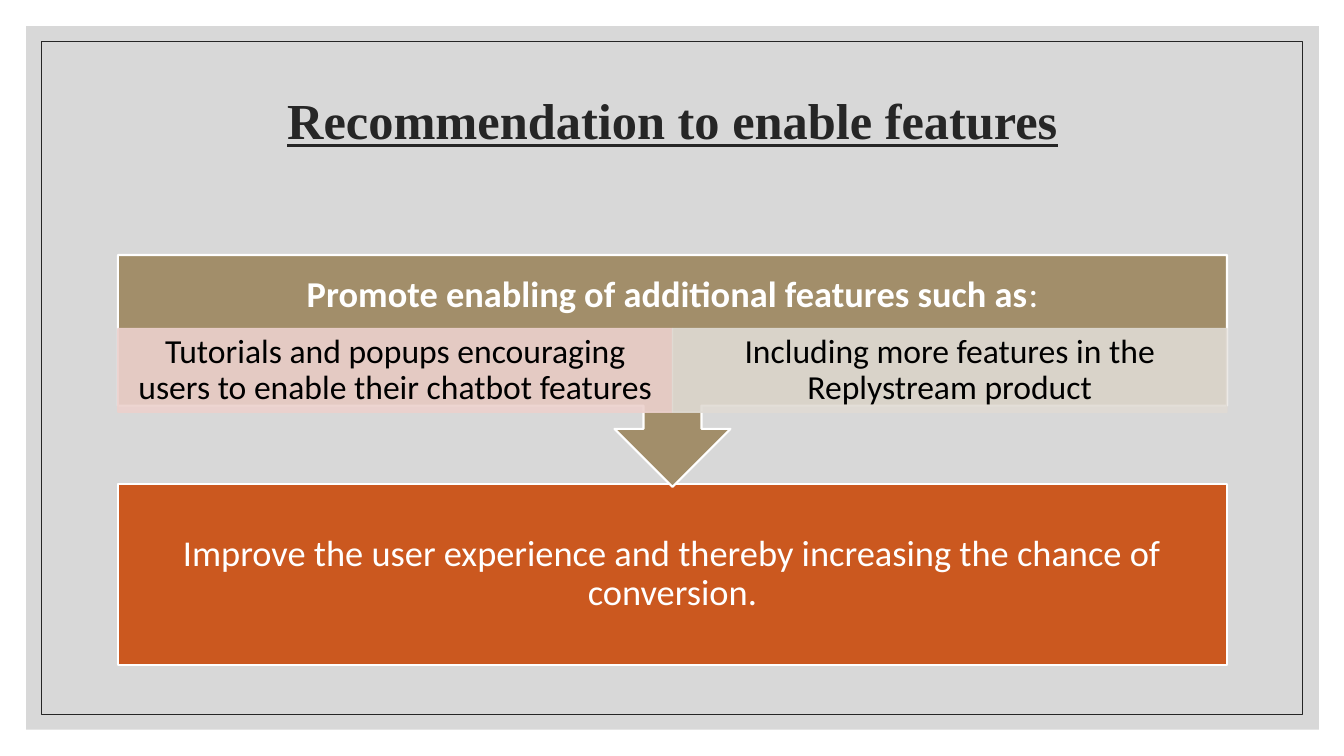
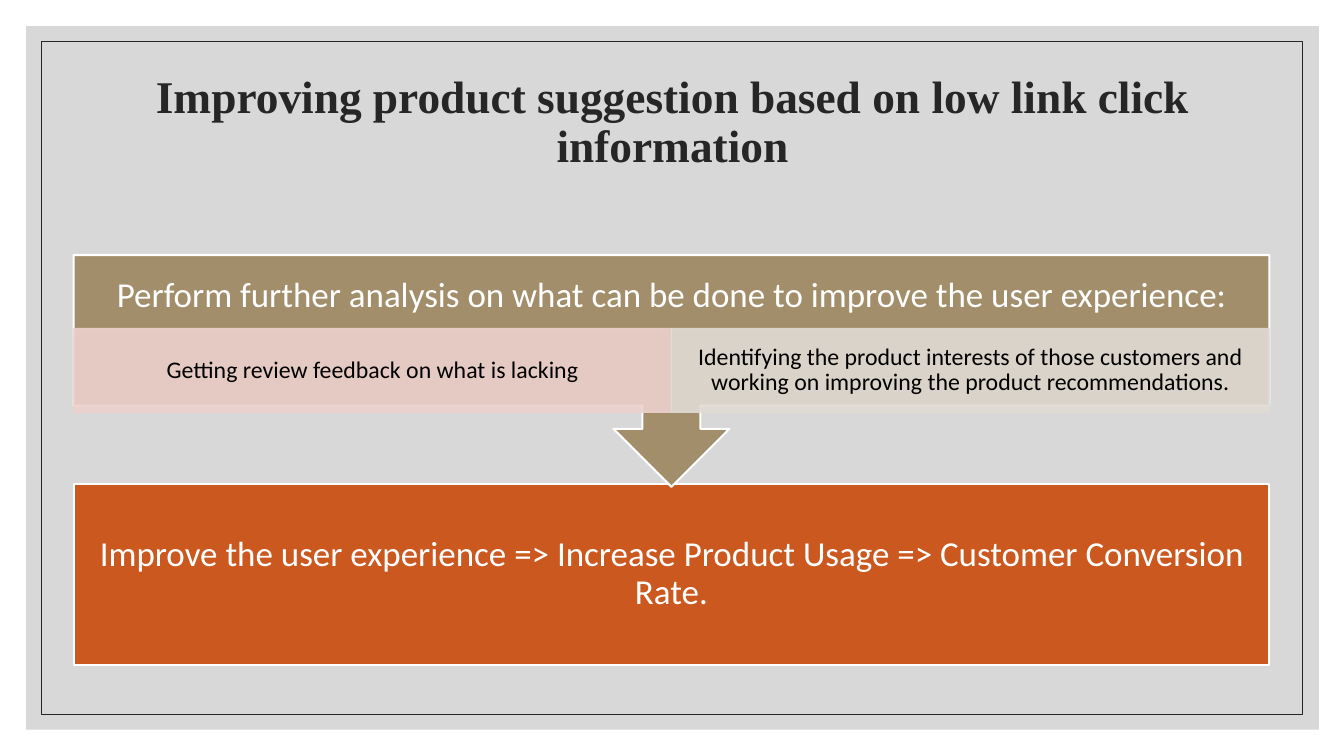
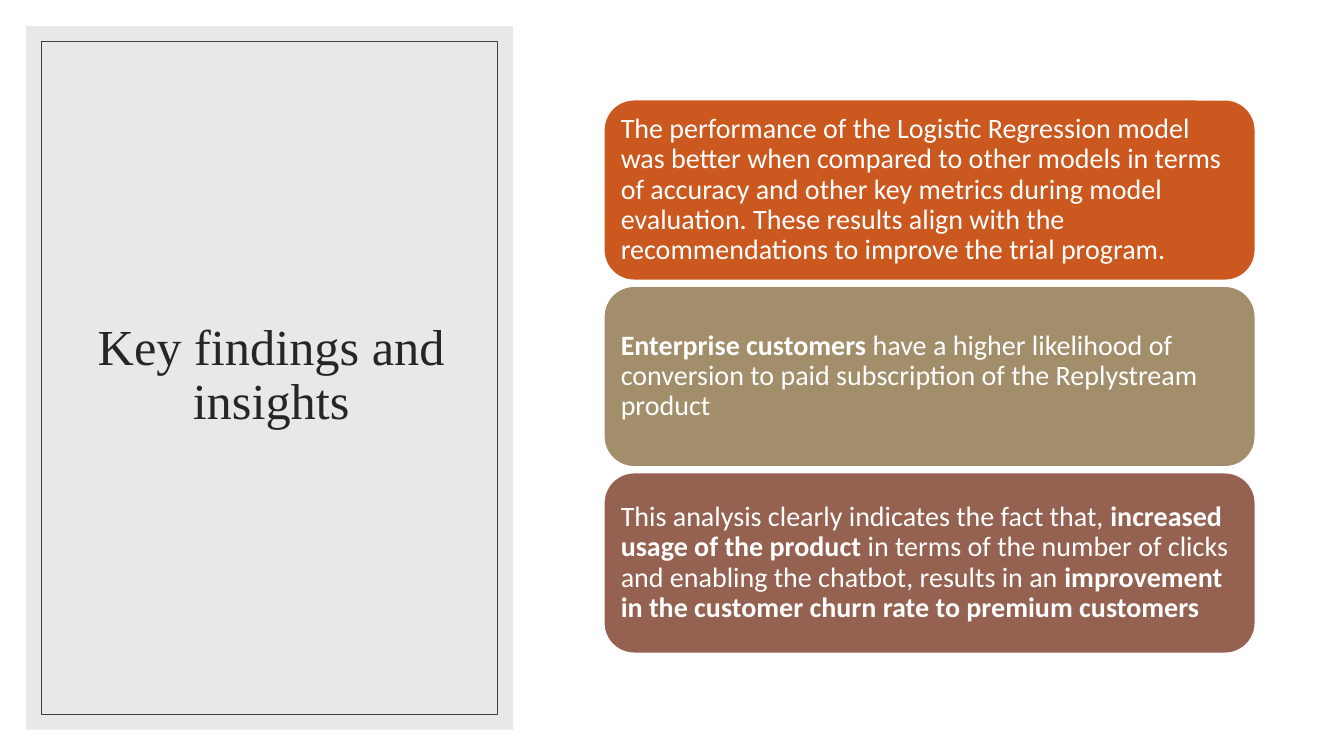
"""Build three slides: two recommendation flows and the key findings."""
from lxml import etree
from pptx import Presentation
from pptx.dml.color import RGBColor
from pptx.enum.shapes import MSO_SHAPE
from pptx.enum.text import MSO_ANCHOR, MSO_AUTO_SIZE, PP_ALIGN
from pptx.oxml.ns import qn
from pptx.util import Inches, Pt

RECT = MSO_SHAPE.RECTANGLE
ROUND = MSO_SHAPE.ROUNDED_RECTANGLE
CALLOUT = MSO_SHAPE.DOWN_ARROW_CALLOUT
MIDDLE = MSO_ANCHOR.MIDDLE
FIXED = MSO_AUTO_SIZE.NONE
LEFT, CENTER = PP_ALIGN.LEFT, PP_ALIGN.CENTER

HEX = {
    "white": "FFFFFF", "black": "000000", "ink": "262626", "edge": "404040",
    "wide": "BFBFBF", "side": "D9D9D9", "rust": "CB581F", "sand": "A28E6A",
    "brown": "956251", "pink": "ECD1CD", "beige": "E0DBD4",
}
SERIF, SANS = "Times New Roman", "Calibri"
WIDE, TALL = 13.33, 7.5

FLOWS = [
    {
        "title": "Recommendation to enable features",
        "size": 36, "under": True, "left": 1.17, "width": 11,
        "head": [("Promote enabling of additional features such as", True), (":", False)],
        "cells": ["Tutorials and popups encouraging users to enable their chatbot features",
                  "Including more features in the Replystream product"],
        "goal": "Improve the user experience and thereby increasing the chance of conversion.",
        "big": 26, "small": 24, "pad": 0.2, "inset": (0.19, 0.03),
    },
    {
        "title": "Improving product suggestion based on low link click information",
        "size": 32.4, "under": False, "left": 0.73, "width": 11.86,
        "head": [("Perform further analysis on what can be done to improve the user experience:", False)],
        "cells": ["Getting review feedback on what is lacking",
                  "Identifying the product interests of those customers and working on "
                  "improving the product recommendations."],
        "goal": "Improve the user experience => Increase Product Usage => Customer Conversion Rate.",
        "big": 25, "small": 17, "pad": 0.19, "inset": (0.13, 0.02),
    },
]
FACTS = [
    ("rust", [("The performance of the Logistic Regression model was better when compared to "
               "other models in terms of accuracy and other key metrics during model evaluation. "
               "These results align with the recommendations to improve the trial program.", False)]),
    ("sand", [("Enterprise customers ", True),
              ("have a higher likelihood of conversion to paid subscription of the "
               "Replystream product", False)]),
    ("brown", [("This analysis clearly indicates the fact that, ", False),
               ("increased usage of the product ", True),
               ("in terms of the number of clicks and enabling the chatbot, results in an ", False),
               ("improvement in the customer churn rate to premium customers", True)]),
]


def color(name):
    return RGBColor.from_string(HEX[name])


def fade(fill, share):
    for tone in fill.iter(qn("a:srgbClr")):
        etree.SubElement(tone, qn("a:alpha"), val=str(share * 1000))


def add_box(slide, kind, area, fill=None, line=None, width=1, alpha=None):
    box = slide.shapes.add_shape(kind, *map(Inches, area))
    box.shadow.inherit = False
    if fill:
        box.fill.solid()
        box.fill.fore_color.rgb = color(fill)
    else:
        box.fill.background()
    if line:
        box.line.color.rgb = color(line)
        box.line.width = Pt(width)
    else:
        box.line.fill.background()
    if alpha:
        fade(box.element.spPr, alpha)
    return box


def write(box, runs, size, tone, font=SANS, align=CENTER, pads=(0.1, 0.05, 0.1, 0.05), under=False):
    frame = box.text_frame
    frame.word_wrap = True
    frame.auto_size = FIXED
    frame.vertical_anchor = MIDDLE
    (frame.margin_left, frame.margin_top,
     frame.margin_right, frame.margin_bottom) = map(Inches, pads)
    para = frame.paragraphs[0]
    para.alignment = align
    para.line_spacing = 0.9
    para.space_before = Pt(0)
    for text, bold in runs:
        run = para.add_run()
        run.text = text
        run.font.name = font
        run.font.size = Pt(size)
        run.font.bold = bold
        run.font.underline = under
        run.font.color.rgb = color(tone)


def add_title(slide, area, text, size, bold=False, under=False, low=0.05):
    title = slide.shapes.title
    title.left, title.top, title.width, title.height = map(Inches, area)
    write(title, [(text, bold)], size, "ink", SERIF, pads=(0.1, 0.05, 0.1, low), under=under)


def add_panel(slide, home, width, fill, line):
    """Put a tinted panel with a thin inner frame at the back of home."""
    panel = add_box(slide, RECT, (0.26, 0.26, width, TALL - 0.52), fill, alpha=60)
    frame = add_box(slide, RECT, (0.41, 0.41, width - 0.31, TALL - 0.82), line=line, width=0.5)
    for part in (frame, panel):
        home.shapes.element.insert(2, part.element)


def add_flow(slide, flow):
    left, width, pad = flow["left"], flow["width"], flow["pad"]
    add_title(slide, (1.17, 0.7, 11, 1.5), flow["title"], flow["size"], True, flow["under"], 0.5)
    goal = add_box(slide, RECT, (left, 4.8, width, 1.8), "rust", "white", 1.5)
    write(goal, [(flow["goal"], False)], flow["big"], "white", pads=(pad,) * 4)
    head = add_box(slide, CALLOUT, (left, 2.53, width, 2.3), "sand", "white", 1.5)
    write(head, flow["head"], flow["big"], "white", pads=(pad, pad, pad, pad + 0.68))
    half = width / 2
    for i, (text, tone) in enumerate(zip(flow["cells"], ("pink", "beige"))):
        cell = add_box(slide, RECT, (left + i * half, 3.26, half, 0.83), tone, tone, alpha=90)
        write(cell, [(text, False)], flow["small"], "black", pads=flow["inset"] * 2)


def add_facts(slide):
    add_panel(slide, slide, 4.83, "side", "edge")
    add_title(slide, (0.63, 0.61, 4.12, 6.24), "Key findings and insights", 36)
    for i, (tone, runs) in enumerate(FACTS):
        card = add_box(slide, ROUND, (5.99, 0.99 + i * 1.85, 6.46, 1.79), tone, "white")
        write(card, runs, 20, "white", align=LEFT, pads=(0.08,) * 4)


def main():
    deck = Presentation()
    deck.slide_width, deck.slide_height = Inches(WIDE), Inches(TALL)
    cover, plain = deck.slide_layouts[0], deck.slide_layouts[5]
    for i, flow in enumerate(FLOWS):
        slide = deck.slides.add_slide(plain)
        if i == 0:
            add_panel(slide, plain, 12.82, "wide", "ink")
        add_flow(slide, flow)
    slide = deck.slides.add_slide(cover)
    spare = slide.placeholders[1].element
    spare.getparent().remove(spare)
    add_facts(slide)
    deck.save("out.pptx")


if __name__ == "__main__":
    main()
